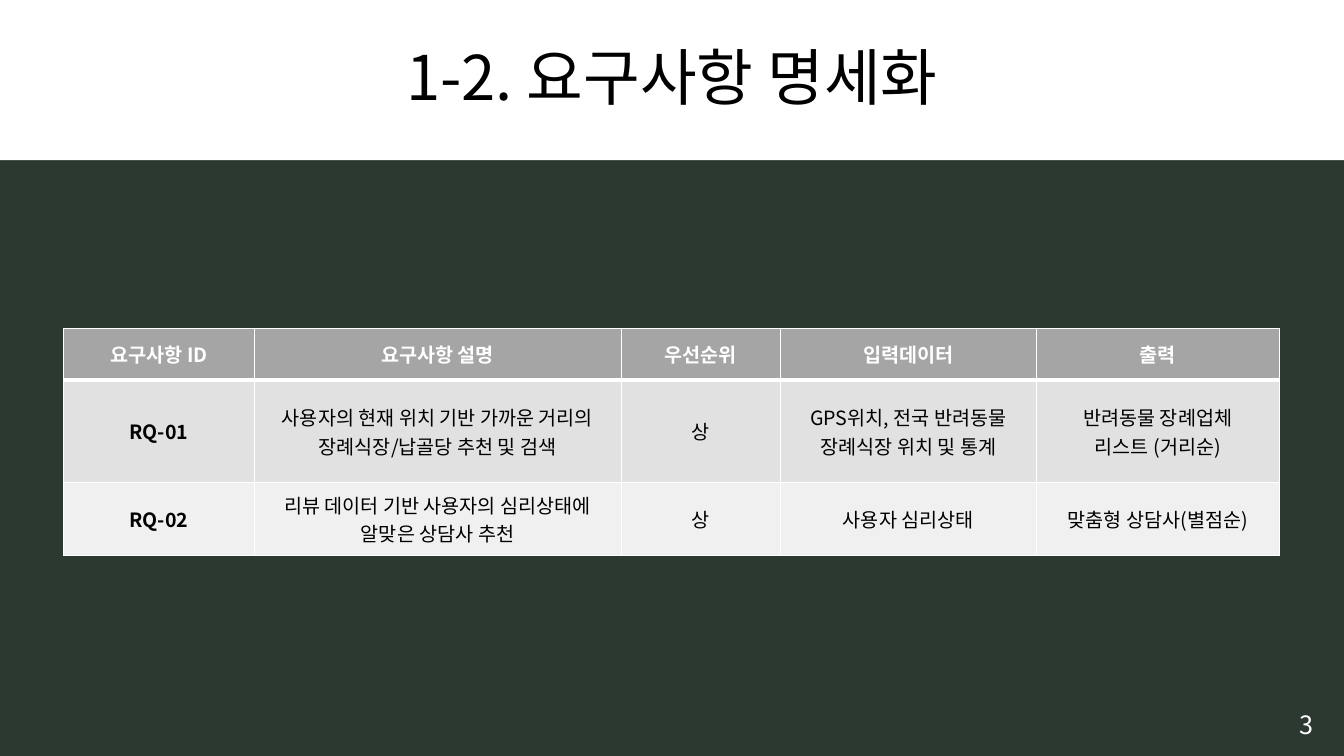
from lxml import etree
from pptx import Presentation
from pptx.dml.color import RGBColor
from pptx.enum.shapes import MSO_SHAPE
from pptx.enum.text import MSO_ANCHOR, PP_ALIGN
from pptx.oxml.ns import qn
from pptx.util import Inches, Pt

RECT = MSO_SHAPE.RECTANGLE
MIDDLE = MSO_ANCHOR.MIDDLE
CENTER = PP_ALIGN.CENTER

GREEN = RGBColor(0x2C, 0x39, 0x30)
WHITE = RGBColor(0xFF, 0xFF, 0xFF)
BLACK = RGBColor(0x00, 0x00, 0x00)
GRAY = RGBColor(0xA5, 0xA5, 0xA5)
SILVER = RGBColor(0xE1, 0xE1, 0xE1)
PALE = RGBColor(0xF0, 0xF0, 0xF0)

COLS = [14.18, 27.31, 11.85, 19.05, 18.08]
ROWS = [6.8, 13.6, 9.6]
FILLS = [GRAY, SILVER, PALE]
NEEDS = [
    ["요구사항 ID", "요구사항 설명", "우선순위", "입력데이터", "출력"],
    ["RQ-01", "사용자의 현재 위치 기반 가까운 거리의 장례식장/납골당 추천 및 검색",
     "상", "GPS위치, 전국 반려동물 장례식장 위치 및 통계",
     "반려동물 장례업체\n리스트 (거리순)"],
    ["RQ-02", "리뷰 데이터 기반 사용자의 심리상태에 알맞은 상담사 추천",
     "상", "사용자 심리상태", "맞춤형 상담사(별점순)"],
]


class Deck:
    """One slide on a grid of 100 columns by 100 rows."""

    font = "Noto Sans CJK KR"

    def __init__(self):
        self.file = Presentation()
        self.file.slide_width = Inches(13.33)
        self.file.slide_height = Inches(7.5)
        self.slide = self.file.slides.add_slide(self.file.slide_layouts[6])
        self.slide.background.fill.solid()
        self.slide.background.fill.fore_color.rgb = GREEN

    def wide(self, cols):
        return round(self.file.slide_width * cols / 100)

    def high(self, rows):
        return round(self.file.slide_height * rows / 100)

    def area(self, left, top, width, height):
        return (self.wide(left), self.high(top),
                self.wide(width), self.high(height))

    def set_text(self, frame, text, size, color, bold=False):
        frame.text = text
        frame.word_wrap = True
        for para in frame.paragraphs:
            para.alignment = CENTER
            font = para.font
            font.size = Pt(size)
            font.bold = bold
            font.color.rgb = color
            font.name = self.font
            props = para._p.pPr.find(qn("a:defRPr"))
            etree.SubElement(props, qn("a:ea"), typeface=self.font)

    def band(self, text, *place):
        shape = self.slide.shapes.add_shape(RECT, *self.area(*place))
        shape.shadow.inherit = False
        shape.fill.solid()
        shape.fill.fore_color.rgb = WHITE
        shape.line.fill.background()
        frame = shape.text_frame
        frame.vertical_anchor = MIDDLE
        self.set_text(frame, text, 44, BLACK)
        frame.paragraphs[0].line_spacing = 0.9

    def label(self, text, *place):
        box = self.slide.shapes.add_textbox(*self.area(*place))
        self.set_text(box.text_frame, text, 18, WHITE)

    def edge(self, cell, top, bottom):
        """Draw white borders; top and bottom are widths in points."""
        props = cell._tc.get_or_add_tcPr()
        sides = {"L": 1, "R": 1, "T": top, "B": bottom}
        for spot, (side, width) in enumerate(sides.items()):
            line = etree.Element(qn(f"a:ln{side}"), w=str(Pt(width)))
            fill = etree.SubElement(line, qn("a:solidFill"))
            etree.SubElement(fill, qn("a:srgbClr"), val=str(WHITE))
            props.insert(spot, line)

    def table(self, data, left, top):
        place = self.area(left, top, sum(COLS), sum(ROWS))
        grid = self.slide.shapes.add_table(len(ROWS), len(COLS), *place).table
        for col, width in zip(grid.columns, COLS):
            col.width = self.wide(width)
        for r, (row, height) in enumerate(zip(grid.rows, ROWS)):
            row.height = self.high(height)
            head = r == 0
            for c, cell in enumerate(row.cells):
                cell.fill.solid()
                cell.fill.fore_color.rgb = FILLS[r]
                cell.vertical_anchor = MIDDLE
                self.set_text(cell.text_frame, data[r][c], 14,
                              WHITE if head else BLACK, head or c == 0)
                self.edge(cell, 3 if r == 1 else 1, 3 if head else 1)


def main():
    deck = Deck()
    deck.band("1-2. 요구사항 명세화", 0, 0, 100, 21.2)
    deck.label("3", 94.45, 93.2, 5.55, 5.33)
    deck.table(NEEDS, 4.73, 43.47)
    deck.file.save("out.pptx")


if __name__ == "__main__":
    main()
